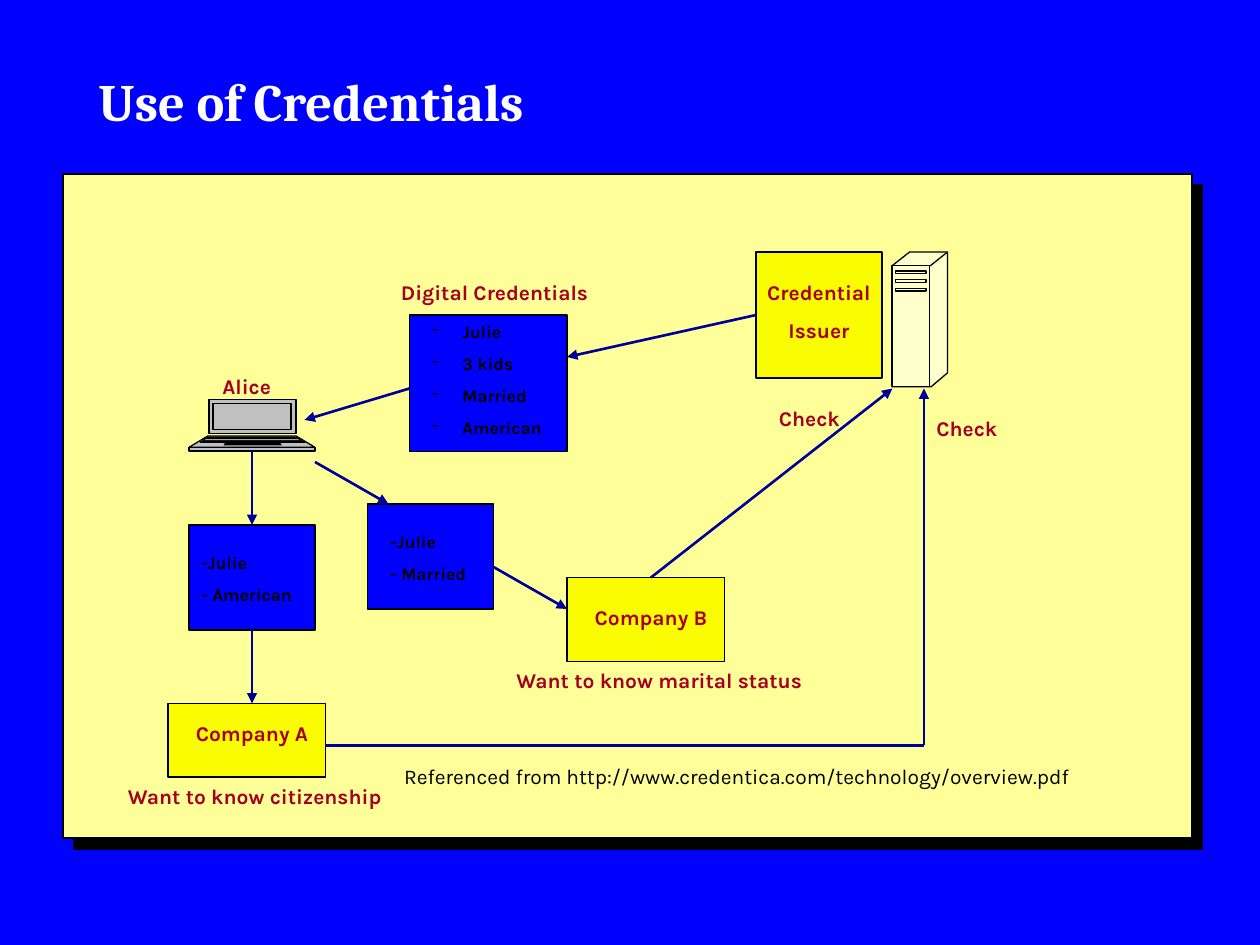
from typing import NamedTuple

from lxml.etree import SubElement
from pptx import Presentation
from pptx.dml.color import RGBColor
from pptx.enum.shapes import MSO_CONNECTOR, MSO_SHAPE
from pptx.enum.text import MSO_ANCHOR, MSO_AUTO_SIZE, PP_ALIGN
from pptx.oxml.ns import qn
from pptx.util import Cm, Pt

BLUE = RGBColor(0x00, 0x00, 0xFF)
NAVY = RGBColor(0x00, 0x00, 0x99)
CREAM = RGBColor(0xFF, 0xFF, 0x99)
IVORY = RGBColor(0xFF, 0xFF, 0xCC)
YELLOW = RGBColor(0xFA, 0xFD, 0x00)
GREY = RGBColor(0xC0, 0xC0, 0xC0)
RED = RGBColor(0xA5, 0x00, 0x21)
BLACK = RGBColor(0x00, 0x00, 0x00)
WHITE = RGBColor(0xFF, 0xFF, 0xFF)

GRID_CM = 2.54 / 12  # the diagram sits on a grid of twelve steps to the inch
DRAWING_UNIT = Cm(2.54) / 100  # device outlines are in hundredths of an inch


class Box(NamedTuple):
    """Rectangle in grid steps."""
    left: float
    top: float
    width: float
    height: float
    fill: RGBColor


class Label(NamedTuple):
    """Text box in grid steps."""
    left: float
    top: float
    width: float
    lines: tuple[str, ...]
    size: int = 12
    color: RGBColor = RED
    bold: bool = True
    align: PP_ALIGN = PP_ALIGN.LEFT
    dashed: bool = False


class Arrow(NamedTuple):
    """Line in grid steps, joined to (box, side) where one is given."""
    start: tuple[float, float]
    end: tuple[float, float]
    head: bool = True
    source: tuple[str, int] | None = None
    target: tuple[str, int] | None = None


class Trapezoid(NamedTuple):
    top: int
    bottom: int
    top_left: int
    top_right: int
    bottom_left: int
    bottom_right: int


BOXES = {
    "issuer": Box(72, 24, 12, 12, YELLOW),
    "company_b": Box(54, 55, 15, 8, YELLOW),
    "company_a": Box(16, 67, 15, 7, YELLOW),
    "credentials": Box(39, 30, 15, 13, BLUE),
    "citizenship": Box(18, 50, 12, 10, BLUE),
    "marital": Box(35, 48, 12, 10, BLUE),
}

LABELS = [
    Label(71, 26, 14, ("Credential", "Issuer"), align=PP_ALIGN.CENTER),
    Label(37, 26, 21, ("Digital Credentials",)),
    Label(40, 30, 13, ("Julie", "3 kids", "Married", "American"), 10, BLACK, dashed=True),
    Label(17, 68, 14, ("Company A",), align=PP_ALIGN.CENTER),
    Label(55, 57, 14, ("Company B",), align=PP_ALIGN.CENTER),
    Label(11, 74, 33, ("Want to know citizenship",)),
    Label(48, 63, 33, ("Want to know marital status",)),
    Label(18, 52, 13, ("-Julie", "- American"), 10, BLACK),
    Label(36, 50, 13, ("-Julie", "- Married"), 10, BLACK),
    Label(20, 35, 10, ("Alice",)),
    Label(73, 38, 10, ("Check",)),
    Label(88, 39, 10, ("Check",)),
    Label(37.3, 72.1, 76,
          ("Referenced from http://www.credentica.com/technology/overview.pdf",),
          color=BLACK, bold=False),
]

ARROWS = [
    Arrow((72, 30), (54, 34), source=("issuer", 1)),
    Arrow((39, 37), (29, 40)),
    Arrow((24, 43), (24, 50), target=("citizenship", 0)),
    Arrow((24, 60), (24, 67), source=("citizenship", 2)),
    Arrow((30, 44), (37, 48)),
    Arrow((47, 54), (54, 58)),
    Arrow((62, 55), (85, 37)),
    Arrow((88, 71), (88, 37)),
    Arrow((31, 71), (88, 71), head=False),
]

LAPTOP = [
    Trapezoid(317, 344, 166, 235, 166, 235),
    Trapezoid(346, 355, 165, 235, 150, 250),
    Trapezoid(355, 358, 150, 250, 150, 250),
    Trapezoid(320, 341, 169, 231, 169, 231),
    Trapezoid(347, 348, 165, 235, 164, 237),
    Trapezoid(352, 353, 179, 222, 178, 223),
    Trapezoid(348, 350, 163, 237, 161, 239),
    Trapezoid(350, 351, 161, 240, 159, 242),
]

SERVER_BODY = [(708, 211), (722, 200), (752, 200), (752, 296), (739, 307), (708, 307)]
SERVER_FRONT = Trapezoid(211, 307, 708, 738, 708, 738)
SERVER_SLOTS = [Trapezoid(top, top + 2, 711, 735, 711, 735) for top in (215, 222, 229)]


def grid(steps: float) -> Cm:
    return Cm(steps * GRID_CM)


def paint(shape, fill: RGBColor, width: float = 0.75) -> None:
    shape.shadow.inherit = False
    shape.fill.solid()
    shape.fill.fore_color.rgb = fill
    shape.line.color.rgb = BLACK
    shape.line.width = Pt(width)


def add_panel(shapes) -> None:
    panel = shapes.add_shape(MSO_SHAPE.RECTANGLE, Cm(1.27), Cm(3.51), Cm(22.76), Cm(13.39))
    paint(panel, CREAM, 1)
    effects = panel._element.spPr.find(qn("a:effectLst"))
    shadow = SubElement(effects, qn("a:outerShdw"), dist=str(Pt(8.5)),
                        dir=str(45 * 60000), algn="ctr", rotWithShape="0")
    SubElement(shadow, qn("a:srgbClr"), val=str(BLACK))


def add_box(shapes, box: Box):
    rectangle = shapes.add_shape(MSO_SHAPE.RECTANGLE, *(grid(n) for n in box[:4]))
    paint(rectangle, box.fill)
    return rectangle


def add_outline(shapes, points: list[tuple[int, int]], fill: RGBColor) -> None:
    builder = shapes.build_freeform(*points[0], scale=DRAWING_UNIT)
    builder.add_line_segments(points[1:], close=True)
    paint(builder.convert_to_shape(), fill)


def add_trapezoid(shapes, t: Trapezoid, fill: RGBColor) -> None:
    add_outline(shapes, [(t.top_left, t.top), (t.top_right, t.top),
                         (t.bottom_right, t.bottom), (t.bottom_left, t.bottom)], fill)


def add_line(shapes, start, end, color: RGBColor, width: float):
    line = shapes.add_connector(MSO_CONNECTOR.STRAIGHT, *start, *end)
    line.line.color.rgb = color
    line.line.width = Pt(width)
    SubElement(line._element.spPr, qn("a:effectLst"))
    return line


def add_arrow(shapes, arrow: Arrow, boxes: dict) -> None:
    line = add_line(shapes, map(grid, arrow.start), map(grid, arrow.end), NAVY, 1.5)
    if arrow.head:
        SubElement(line.line._get_or_add_ln(), qn("a:tailEnd"), type="triangle")
    if arrow.source:
        name, side = arrow.source
        line.begin_connect(boxes[name], side)
    if arrow.target:
        name, side = arrow.target
        line.end_connect(boxes[name], side)


def add_label(shapes, label: Label) -> None:
    gap = label.size * 0.62
    height = Cm(0.25) + len(label.lines) * Pt(label.size * 1.17) + (len(label.lines) - 1) * Pt(gap)
    frame = shapes.add_textbox(grid(label.left), grid(label.top),
                               grid(label.width), height).text_frame
    frame.word_wrap = True
    frame.auto_size = MSO_AUTO_SIZE.SHAPE_TO_FIT_TEXT
    for index, line in enumerate(label.lines):
        paragraph = frame.paragraphs[0] if index == 0 else frame.add_paragraph()
        paragraph.alignment = label.align
        if index:
            paragraph.space_before = Pt(gap)
        if label.dashed:
            properties = paragraph._p.get_or_add_pPr()
            properties.set("marL", str(Cm(0.6)))
            properties.set("indent", str(-Cm(0.6)))
            SubElement(properties, qn("a:buChar"), char="-")
        add_run(paragraph, line, "Karla", label.size, label.color, label.bold)


def add_run(paragraph, text: str, face: str, size: int, color: RGBColor, bold: bool) -> None:
    run = paragraph.add_run()
    run.text = text
    run.font.name = face
    run.font.size = Pt(size)
    run.font.bold = bold
    run.font.color.rgb = color


def add_title(title) -> None:
    title.left, title.top, title.width, title.height = Cm(1.73), Cm(0), Cm(17.96), Cm(2.79)
    title.text_frame.vertical_anchor = MSO_ANCHOR.BOTTOM
    heading = title.text_frame.paragraphs[0]
    heading.alignment = PP_ALIGN.LEFT
    heading.line_spacing = 0.87
    add_run(heading, "Use of Credentials", "Cambria", 30, WHITE, True)


def main() -> None:
    deck = Presentation()
    deck.slide_width, deck.slide_height = Cm(25.4), Cm(19.05)
    slide = deck.slides.add_slide(deck.slide_layouts[5])
    slide.background.fill.solid()
    slide.background.fill.fore_color.rgb = BLUE
    shapes = slide.shapes
    add_title(shapes.title)
    add_panel(shapes)
    for part in LAPTOP:
        add_trapezoid(shapes, part, GREY)
    add_outline(shapes, SERVER_BODY, IVORY)
    for part in [SERVER_FRONT, *SERVER_SLOTS]:
        add_trapezoid(shapes, part, IVORY)
    add_line(shapes, (Cm(18.75), Cm(5.36)), (Cm(19.1), Cm(5.08)), BLACK, 0.75)
    boxes = {name: add_box(shapes, box) for name, box in BOXES.items()}
    for arrow in ARROWS:
        add_arrow(shapes, arrow, boxes)
    for label in LABELS:
        add_label(shapes, label)
    deck.save("out.pptx")


if __name__ == "__main__":
    main()
